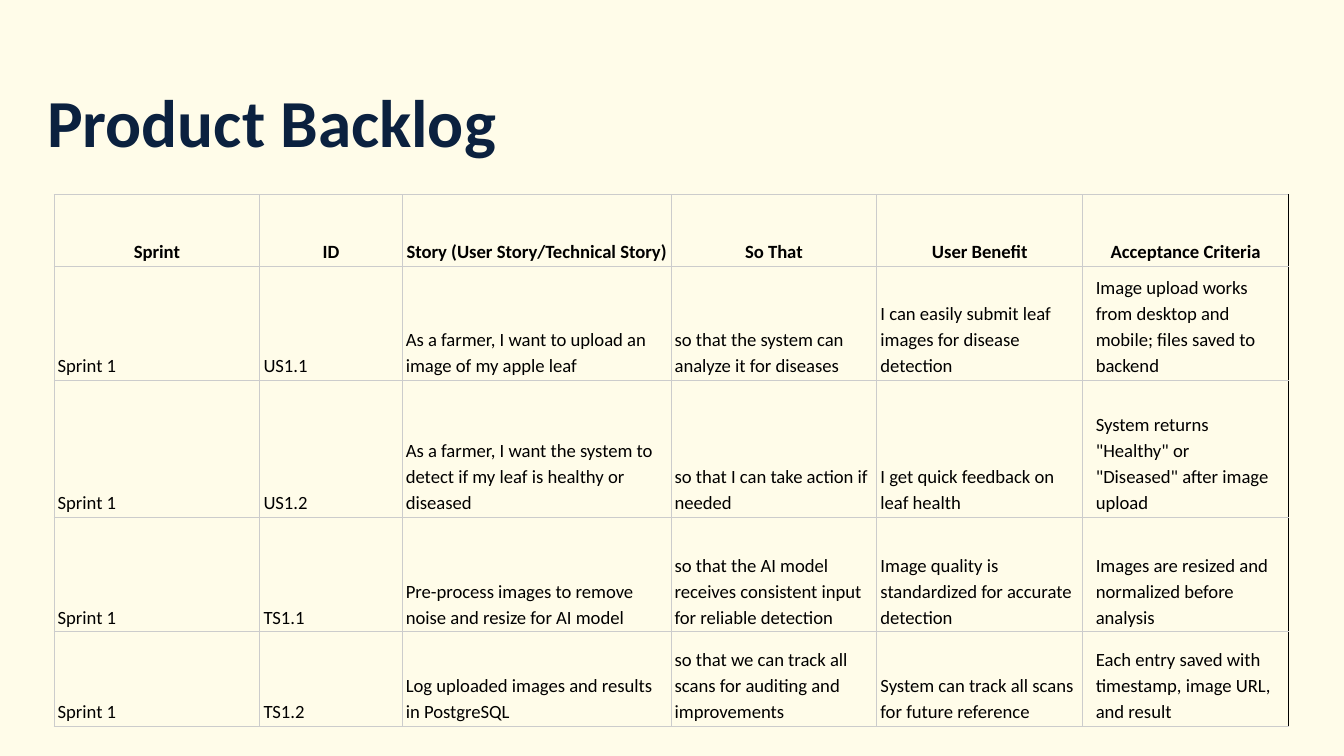
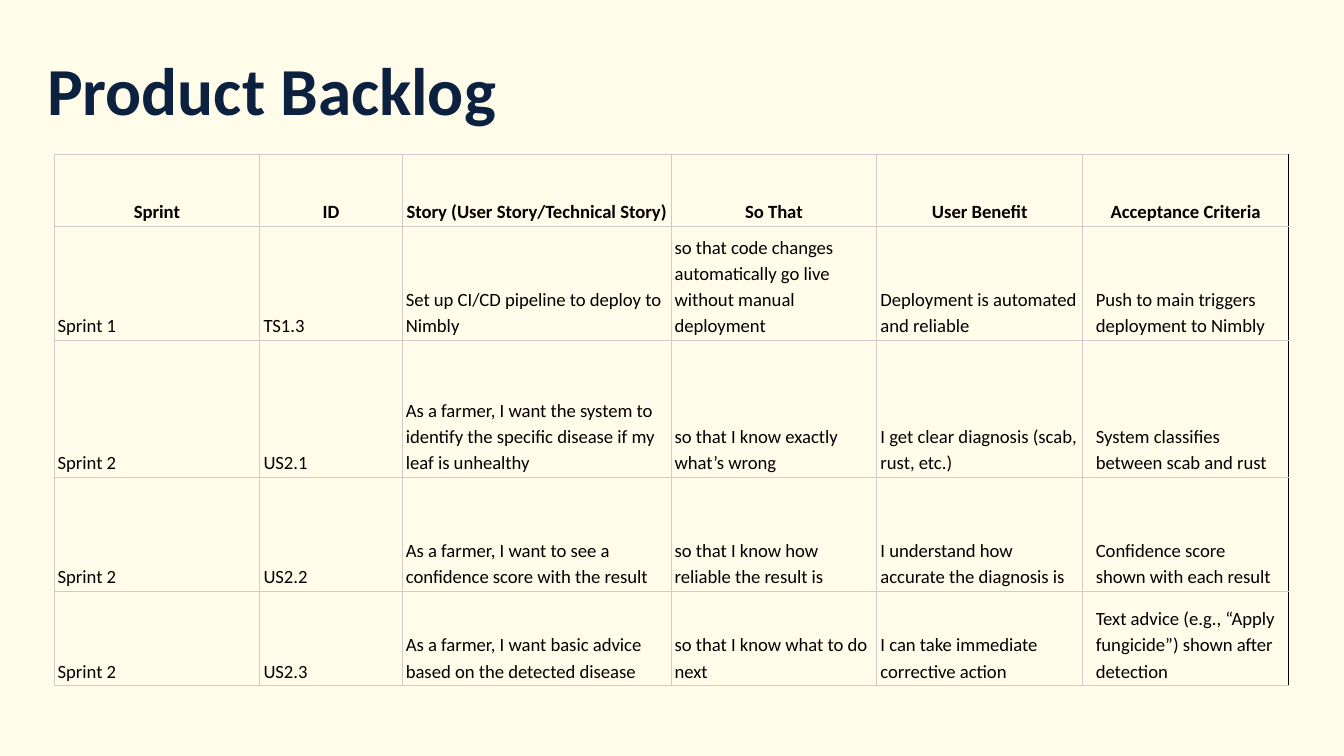
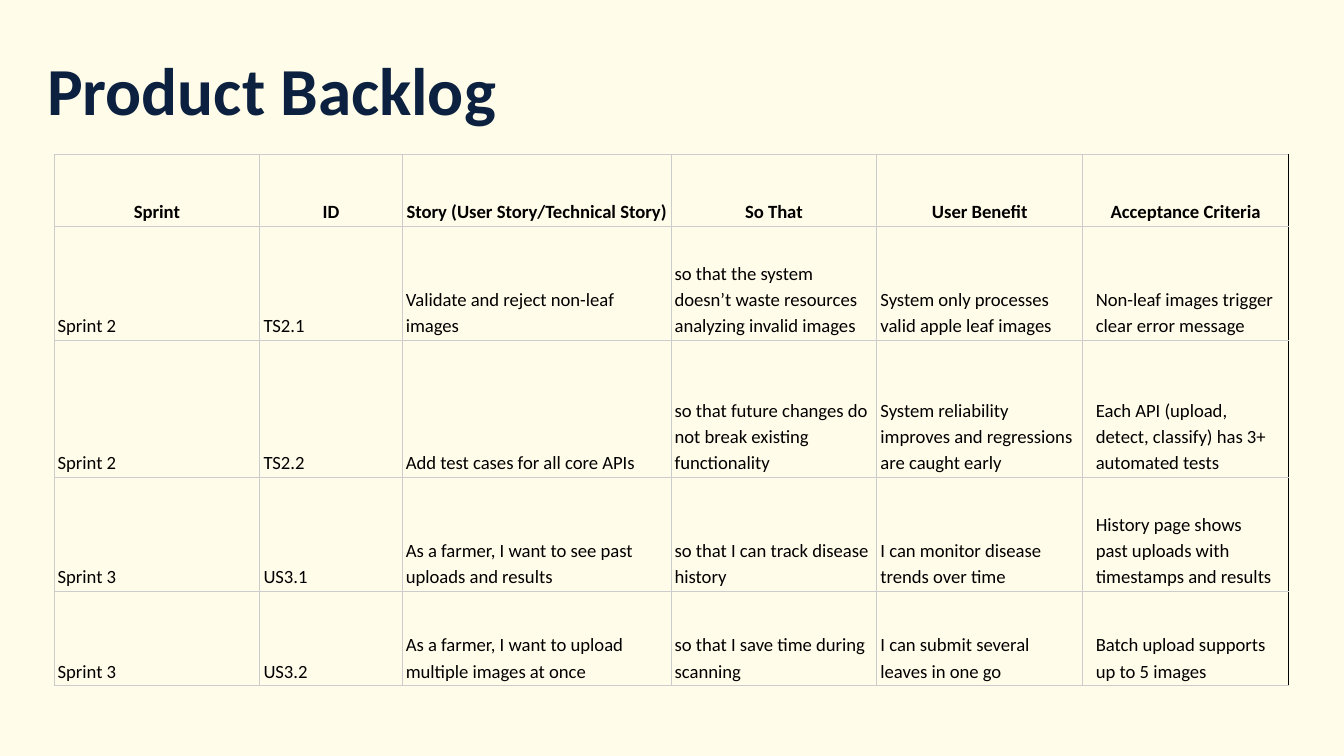
from dataclasses import dataclass
from typing import Any, NamedTuple

from lxml import etree
from pptx import Presentation
from pptx.dml.color import RGBColor
from pptx.enum.text import MSO_ANCHOR, MSO_AUTO_SIZE, PP_ALIGN
from pptx.oxml.ns import qn
from pptx.util import Cm, Pt

TOP, BOTTOM = MSO_ANCHOR.TOP, MSO_ANCHOR.BOTTOM
LEFT, CENTER = PP_ALIGN.LEFT, PP_ALIGN.CENTER
NO_AUTOFIT = MSO_AUTO_SIZE.NONE
TITLE_ONLY = 5

COLORS = {
    "background": "FFFCE9",
    "title": "0B213F",
    "text": "000000",
    "grid": "CCCCCC",
    "outer": "000000",
}
TITLE_FONT = {"name": "Calibri", "size": Pt(36), "bold": True}
HEADER_FONT = {"name": "Calibri", "size": Pt(10), "bold": True}
BODY_FONT = HEADER_FONT | {"bold": False}
TITLE_FRAME = {
    "auto_size": NO_AUTOFIT, "word_wrap": True, "vertical_anchor": TOP,
    "margin_left": Cm(0.25), "margin_right": Cm(0.25),
    "margin_top": Cm(0.25), "margin_bottom": Cm(0.25),
}
CELL_FRAME = {
    "vertical_anchor": BOTTOM, "margin_top": Cm(0.05), "margin_bottom": Cm(0.05),
}
BORDER_WIDTH = Pt(0.42)
ROW_HEIGHTS = [Cm(h) for h in (1.35, 2.16, 2.59, 2.16, 1.78)]


class Column(NamedTuple):
    heading: str
    width: Cm
    inset: Cm = Cm(0.07)
    right_color: str = "grid"


class Story(NamedTuple):
    sprint: str
    id: str
    story: str
    so_that: str
    benefit: str
    criteria: str


@dataclass
class BacklogPage:
    title_top: Cm
    table_top: Cm
    stories: list[Story]


COLUMNS = [
    Column("Sprint", Cm(3.89)),
    Column("ID", Cm(2.69)),
    Column("Story (User Story/Technical Story)", Cm(5.08)),
    Column("So That", Cm(3.89)),
    Column("User Benefit", Cm(3.89)),
    Column("Acceptance Criteria", Cm(3.89), Cm(0.25), "outer"),
]

PAGES = [
    BacklogPage(Cm(1.27), Cm(3.68), [
        Story("Sprint 1", "US1.1",
              "As a farmer, I want to upload an image of my apple leaf",
              "so that the system can analyze it for diseases",
              "I can easily submit leaf images for disease detection",
              "Image upload works from desktop and mobile; files saved to backend"),
        Story("Sprint 1", "US1.2",
              "As a farmer, I want the system to detect if my leaf is healthy or diseased",
              "so that I can take action if needed",
              "I get quick feedback on leaf health",
              'System returns "Healthy" or "Diseased" after image upload'),
        Story("Sprint 1", "TS1.1",
              "Pre-process images to remove noise and resize for AI model",
              "so that the AI model receives consistent input for reliable detection",
              "Image quality is standardized for accurate detection",
              "Images are resized and normalized before analysis"),
        Story("Sprint 1", "TS1.2",
              "Log uploaded images and results in PostgreSQL",
              "so that we can track all scans for auditing and improvements",
              "System can track all scans for future reference",
              "Each entry saved with timestamp, image URL, and result"),
    ]),
    BacklogPage(Cm(0.66), Cm(2.92), [
        Story("Sprint 1", "TS1.3",
              "Set up CI/CD pipeline to deploy to Nimbly",
              "so that code changes automatically go live without manual deployment",
              "Deployment is automated and reliable",
              "Push to main triggers deployment to Nimbly"),
        Story("Sprint 2", "US2.1",
              "As a farmer, I want the system to identify the specific disease "
              "if my leaf is unhealthy",
              "so that I know exactly what’s wrong",
              "I get clear diagnosis (scab, rust, etc.)",
              "System classifies between scab and rust"),
        Story("Sprint 2", "US2.2",
              "As a farmer, I want to see a confidence score with the result",
              "so that I know how reliable the result is",
              "I understand how accurate the diagnosis is",
              "Confidence score shown with each result"),
        Story("Sprint 2", "US2.3",
              "As a farmer, I want basic advice based on the detected disease",
              "so that I know what to do next",
              "I can take immediate corrective action",
              "Text advice (e.g., “Apply fungicide”) shown after detection"),
    ]),
    BacklogPage(Cm(0.66), Cm(2.92), [
        Story("Sprint 2", "TS2.1",
              "Validate and reject non-leaf images",
              "so that the system doesn’t waste resources analyzing invalid images",
              "System only processes valid apple leaf images",
              "Non-leaf images trigger clear error message"),
        Story("Sprint 2", "TS2.2",
              "Add test cases for all core APIs",
              "so that future changes do not break existing functionality",
              "System reliability improves and regressions are caught early",
              "Each API (upload, detect, classify) has 3+ automated tests"),
        Story("Sprint 3", "US3.1",
              "As a farmer, I want to see past uploads and results",
              "so that I can track disease history",
              "I can monitor disease trends over time",
              "History page shows past uploads with timestamps and results"),
        Story("Sprint 3", "US3.2",
              "As a farmer, I want to upload multiple images at once",
              "so that I save time during scanning",
              "I can submit several leaves in one go",
              "Batch upload supports up to 5 images"),
    ]),
]


def rgb(name: str) -> RGBColor:
    return RGBColor.from_string(COLORS[name])


def apply(target: Any, values: dict[str, Any]) -> None:
    """Set every attribute named in values on target."""
    for name, value in values.items():
        setattr(target, name, value)


def write(p: Any, text: str, font: dict[str, Any], color: str, align: PP_ALIGN) -> None:
    p.alignment = align
    r = p.add_run()
    r.text = text
    apply(r.font, font)
    r.font.color.rgb = rgb(color)


def add_borders(cell: Any, right_color: str) -> None:
    tc_pr = cell._tc.get_or_add_tcPr()
    for side in "LRTB":
        color = COLORS[right_color if side == "R" else "grid"]
        ln = etree.SubElement(tc_pr, qn(f"a:ln{side}"), w=str(int(BORDER_WIDTH)))
        fill = etree.SubElement(ln, qn("a:solidFill"))
        etree.SubElement(fill, qn("a:srgbClr"), val=color)


def add_title(slide: Any, top: Cm) -> None:
    sp = slide.shapes.title
    apply(sp, {"left": Cm(0.64), "top": top, "width": Cm(12.24), "height": Cm(1.22)})
    tf = sp.text_frame
    apply(tf, TITLE_FRAME)
    write(tf.paragraphs[0], "Product Backlog", TITLE_FONT, "title", LEFT)


def fill_cell(cell: Any, text: str, column: Column, is_header: bool) -> None:
    apply(cell, CELL_FRAME | {"margin_left": column.inset, "margin_right": column.inset})
    p = cell.text_frame.paragraphs[0]
    p.line_spacing = 1.15
    write(p, text, HEADER_FONT if is_header else BODY_FONT, "text",
          CENTER if is_header else LEFT)
    add_borders(cell, column.right_color)
    cell.fill.background()


def add_backlog(slide: Any, top: Cm, stories: list[Story]) -> None:
    width = sum(column.width for column in COLUMNS)
    table = slide.shapes.add_table(len(ROW_HEIGHTS), len(COLUMNS), Cm(1.02), top,
                                   width, sum(ROW_HEIGHTS)).table
    apply(table, {"first_row": False, "horz_banding": False})
    for row, height in zip(table.rows, ROW_HEIGHTS):
        row.height = height
    for i, column in enumerate(COLUMNS):
        table.columns[i].width = column.width
        texts = [column.heading] + [story[i] for story in stories]
        for j, text in enumerate(texts):
            fill_cell(table.cell(j, i), text, column, is_header=j == 0)


def main() -> None:
    prs = Presentation()
    apply(prs, {"slide_width": Cm(25.4), "slide_height": Cm(14.29)})
    background = prs.slide_master.background.fill
    background.solid()
    background.fore_color.rgb = rgb("background")
    for page in PAGES:
        slide = prs.slides.add_slide(prs.slide_layouts[TITLE_ONLY])
        add_title(slide, page.title_top)
        add_backlog(slide, page.table_top, page.stories)
    prs.save("out.pptx")


if __name__ == "__main__":
    main()
